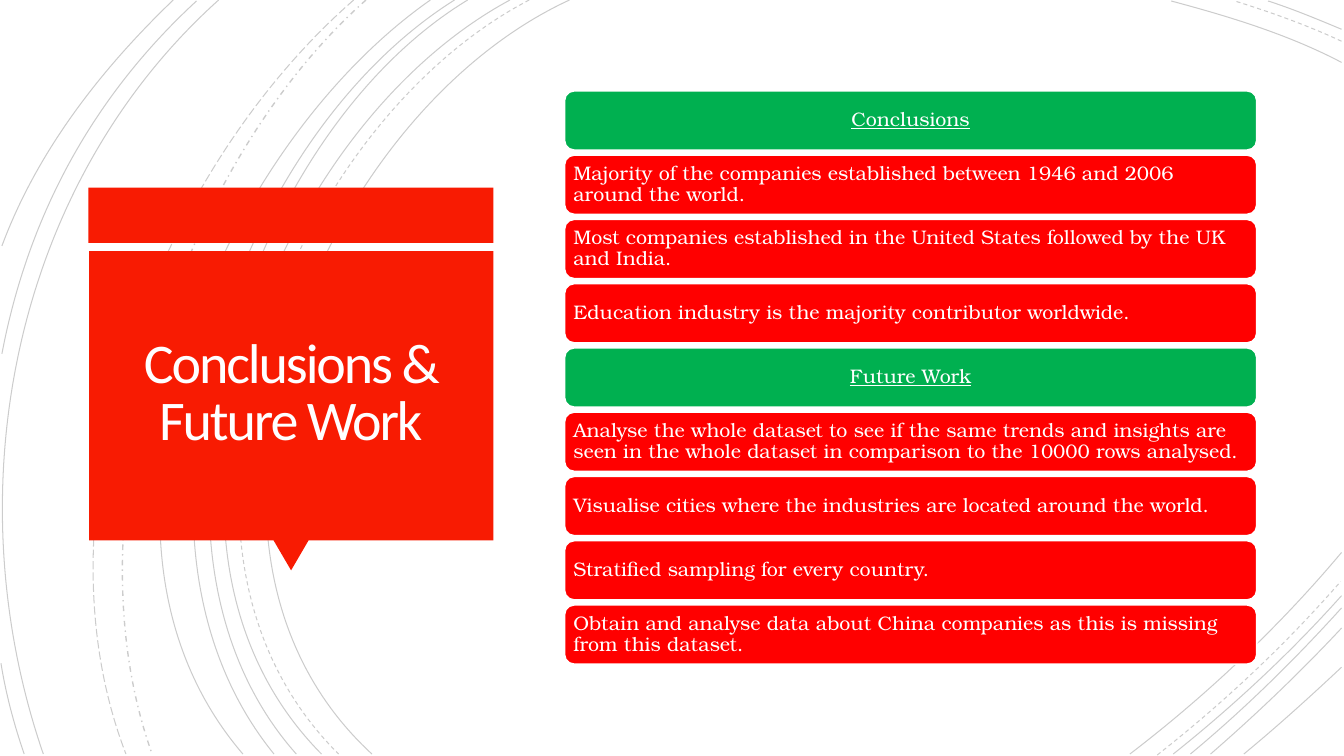
"""Build the Conclusions & Future Work slide."""
from lxml import etree
from pptx import Presentation
from pptx.dml.color import RGBColor
from pptx.enum.dml import MSO_LINE
from pptx.enum.shapes import MSO_SHAPE
from pptx.enum.text import MSO_ANCHOR, PP_ALIGN
from pptx.oxml.ns import qn
from pptx.util import Pt

RECT, TRIANGLE = MSO_SHAPE.RECTANGLE, MSO_SHAPE.ISOSCELES_TRIANGLE
ROUNDED = MSO_SHAPE.ROUNDED_RECTANGLE
LEFT, CENTER, MIDDLE = PP_ALIGN.LEFT, PP_ALIGN.CENTER, MSO_ANCHOR.MIDDLE
SOLID, DASH = MSO_LINE.SOLID, MSO_LINE.DASH
DASH_DOT, LONG_DASH = MSO_LINE.DASH_DOT, MSO_LINE.LONG_DASH

ARCS = [
    (SOLID, 0.75, [(406.8, 0), (226.8, 82.8), (103, 388.8), (265.7, 538.6)]),
    (SOLID, 0.75, [(958.3, 44.6), (920.2, 24.5), (877, 11.5), (836.6, 0.7)]),
    (SOLID, 0.75, [(807.1, 538.6), (861.8, 496.8), (913.7, 447.8), (958.3, 394.6)]),
    (DASH, 0.75, [(378, 0), (205.2, 90), (88.6, 386.6), (241.9, 538.6)]),
    (DASH, 0.75, [(958.3, 29.5), (933.8, 18), (907.2, 8.6), (882, 0.7)]),
    (DASH, 0.75, [(826.6, 539.3), (873.4, 502.6), (918, 460.8), (957.6, 415.4)]),
    (SOLID, 0.75, [(364.3, 0), (194.4, 91.4), (79.2, 386.6), (229.7, 538.6)]),
    (SOLID, 0.75, [(958.3, 20.9), (941, 13.7), (923.8, 6.5), (905.8, 0.7)]),
    (SOLID, 0.75, [(838.1, 538.6), (880.6, 504.7), (921.6, 466.6), (958.3, 425.5)]),
    (SOLID, 0.75, [(334.1, 0), (175.7, 95.8), (79.2, 389.5), (211.7, 538.6)]),
    (SOLID, 0.75, [(850.3, 538.6), (888.5, 506.9), (924.5, 471.6), (958.3, 434.2)]),
    (SOLID, 0.75, [(324.7, 0), (166.3, 99.4), (69.8, 383.8), (195.8, 538.6)]),
    (SOLID, 0.75, [(864.7, 538.6), (897.1, 510.5), (928.8, 480.2), (958.3, 448.6)]),
    (SOLID, 0.75, [(307.4, 0), (156.2, 105.8), (38.2, 380.9), (173.5, 538.6)]),
    (SOLID, 0.75, [(888.5, 538.6), (912.2, 519.1), (935.3, 498.2), (958.3, 476.6)]),
    (DASH_DOT, 1, [(261.4, 0), (126.7, 119.5), (46.8, 366.5), (108.7, 538.6)]),
    (LONG_DASH, 0.75, [(252.7, 0), (113, 121.7), (20.9, 359.3), (90, 538.6)]),
    (SOLID, 0.75, [(156.2, 0), (7.9, 133.2), (-33.1, 352.8), (31, 538.6)]),
    (SOLID, 0.75, [(140.4, 0.7), (66.2, 69.1), (20.2, 154.1), (1.4, 252.7)]),
    (SOLID, 0.75, [(0.7, 473.8), (4.3, 496.1), (10.1, 517.7), (17.3, 538.6)]),
    (SOLID, 0.75, [(123.8, 0), (72, 49.7), (26.6, 108), (1.4, 175.7)]),
]

SECTIONS = {
    "Conclusions": [
        "Majority of the companies established between 1946 and 2006 around the world.",
        "Most companies established in the United States followed by the UK and India.",
        "Education industry is the majority contributor worldwide.",
    ],
    "Future Work": [
        "Analyse the whole dataset to see if the same trends and insights are seen "
        "in the whole dataset in comparison to the 10000 rows analysed.",
        "Visualise cities where the industries are located around the world.",
        "Stratified sampling for every country.",
        "Obtain and analyse data about China companies as this is missing from this dataset.",
    ],
}


def color(value):
    return RGBColor.from_string(value)


def assign(target, values):
    for name, value in values.items():
        setattr(target, name, value)


class SlideBuilder:
    panel = "F81B02"
    heading = "00B050"
    item = "FF0000"
    white = "FFFFFF"
    title_color = "FFFEFF"
    title_font = {"name": "Calibri", "size": Pt(40)}
    bar_font = {"name": "TeX Gyre Bonum", "size": Pt(14)}

    def __init__(self, page):
        self.page = page

    def arc(self, dash, width, points):
        start, *rest = [(Pt(x), Pt(y)) for x, y in points]
        builder = self.page.shapes.build_freeform(*start)
        builder.add_line_segments(rest, close=False)
        curve = builder.convert_to_shape()
        curve.shadow.inherit = False
        curve.fill.background()
        curve.line.color.rgb = color("000000")
        assign(curve.line, {"width": Pt(width), "dash_style": dash})
        tone = next(curve._element.spPr.iter(qn("a:srgbClr")))
        etree.SubElement(tone, qn("a:alpha"), val="20000")
        segments = list(curve._element.iter(qn("a:lnTo")))
        bezier = etree.SubElement(segments[0].getparent(), qn("a:cubicBezTo"))
        for segment in segments:
            bezier.append(segment[0])
            segment.getparent().remove(segment)

    def shape(self, kind, area, fill, outline=None, rotation=0):
        box = self.page.shapes.add_shape(kind, *map(Pt, area))
        box.shadow.inherit = False
        box.rotation = rotation
        box.fill.solid()
        box.fill.fore_color.rgb = color(fill)
        if outline:
            box.line.color.rgb = color(outline)
            box.line.width = Pt(1.25)
        else:
            box.line.fill.background()
        return box

    def label(self, box, text, font, tone, inset, spacing, align):
        frame = box.text_frame
        sides = ("left", "top", "right", "bottom")
        assign(frame, {f"margin_{side}": Pt(inset) for side in sides})
        assign(frame, {"word_wrap": True, "vertical_anchor": MIDDLE})
        para = frame.paragraphs[0]
        assign(para, {"alignment": align, "line_spacing": spacing})
        span = para.add_run()
        span.text = text
        assign(span.font, font)
        span.font.color.rgb = color(tone)
        return span

    def title(self, text, area):
        box = self.page.shapes.add_textbox(*map(Pt, area))
        span = self.label(box, text, self.title_font, self.title_color, 18, 0.85, CENTER)
        span.font._element.set("spc", "-150")

    def bar(self, text, top, is_heading):
        fill = self.heading if is_heading else self.item
        box = self.shape(ROUNDED, (403.2, top, 494.6, 42.5), fill, self.white)
        font = {**self.bar_font, "underline": is_heading}
        align = CENTER if is_heading else LEFT
        self.label(box, text, font, self.white, 4.3, 0.9, align)


def main():
    deck = Presentation()
    assign(deck, {"slide_width": Pt(960), "slide_height": Pt(540)})
    builder = SlideBuilder(deck.slides.add_slide(deck.slide_layouts[6]))

    for arc in ARCS:
        builder.arc(*arc)

    builder.shape(RECT, (63.2, 134, 289.2, 39.6), builder.panel)
    builder.shape(TRIANGLE, (195.3, 385.8, 25.2, 21.6), builder.panel, rotation=180)
    builder.shape(RECT, (63.6, 179.4, 288.8, 206.6), builder.panel)
    builder.title("Conclusions & Future Work", (69.8, 185, 275.8, 193.7))

    bars = []
    for heading, items in SECTIONS.items():
        bars.append((heading, True))
        bars += [(item, False) for item in items]
    for row, (text, is_heading) in enumerate(bars):
        builder.bar(text, 64.8 + 45.9 * row, is_heading)

    deck.save("out.pptx")


if __name__ == "__main__":
    main()
